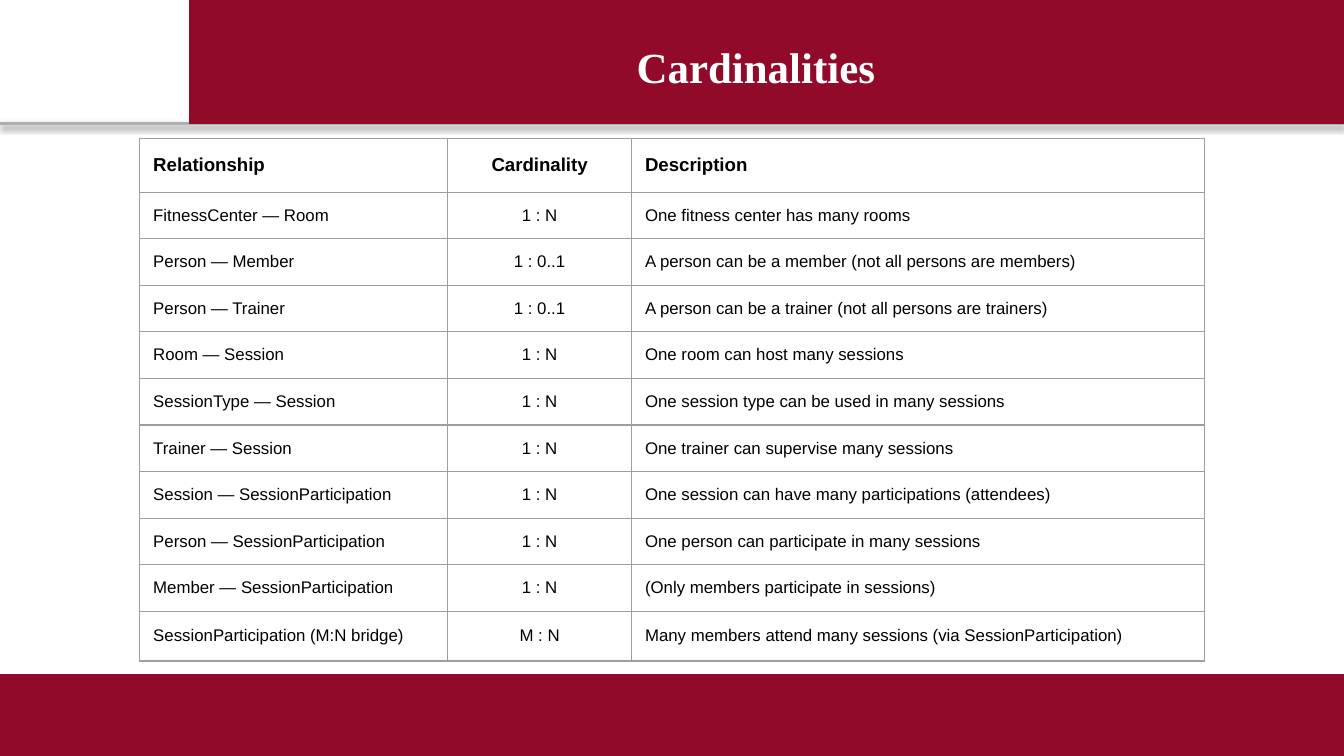
"""Build the Cardinalities slide: a header band, a relationship table and a footer band."""
from lxml import etree
from pptx import Presentation
from pptx import util as u
from pptx.dml.color import RGBColor
from pptx.enum import shapes, text
from pptx.oxml import parse_xml
from pptx.oxml.ns import nsdecls, qn

COLORS = {"crimson": "910A29", "white": "FFFFFF", "black": "000000",
          "rule": "ADAEAE", "border": "9E9E9E"}
ROWS = [
    ("Relationship", "Cardinality", "Description"),
    ("FitnessCenter — Room", "1 : N", "One fitness center has many rooms"),
    ("Person — Member", "1 : 0..1", "A person can be a member (not all persons are members)"),
    ("Person — Trainer", "1 : 0..1", "A person can be a trainer (not all persons are trainers)"),
    ("Room — Session", "1 : N", "One room can host many sessions"),
    ("SessionType — Session", "1 : N", "One session type can be used in many sessions"),
    ("Trainer — Session", "1 : N", "One trainer can supervise many sessions"),
    ("Session — SessionParticipation", "1 : N",
     "One session can have many participations (attendees)"),
    ("Person — SessionParticipation", "1 : N", "One person can participate in many sessions"),
    ("Member — SessionParticipation", "1 : N", "(Only members participate in sessions)"),
    ("SessionParticipation (M:N bridge)", "M : N",
     "Many members attend many sessions (via SessionParticipation)"),
]
COLUMN_WIDTHS = [2.29, 1.37, 4.26]
ROW_HEIGHTS = [0.4] + [3.12 / 9] * 9 + [0.37]


def color(name):
    return RGBColor.from_string(COLORS[name])


def add_band(page, left, top, width, height, fill):
    band = page.shapes.add_shape(shapes.MSO_SHAPE.RECTANGLE, u.Inches(left), u.Inches(top),
                                 u.Inches(width), u.Inches(height))
    band.shadow.inherit = False
    band.fill.solid()
    band.fill.fore_color.rgb = color(fill)
    band.line.color.rgb = color(fill)
    band.line.width = u.Pt(0.75)
    return band


deck = Presentation()
deck.slide_width = u.Inches(10)
deck.slide_height = deck.slide_width * 9 // 16
page = deck.slides.add_slide(deck.slide_layouts[5])

rule = page.shapes.add_connector(shapes.MSO_CONNECTOR.STRAIGHT, 0, u.Inches(0.92),
                                 u.Inches(10), u.Inches(0.92))
rule.line.color.rgb = color("rule")
rule.line.width = u.Pt(2)
rule._element.spPr.append(parse_xml(
    f'<a:effectLst {nsdecls("a")}><a:outerShdw blurRad="39370" dist="20320" dir="5400000">'
    f'<a:srgbClr val="{COLORS["black"]}"><a:alpha val="37000"/></a:srgbClr>'
    '</a:outerShdw></a:effectLst>'))

header = add_band(page, 1.41, 0, 8.59, 0.92, "crimson")
add_band(page, 0, 0, 1.34, 0.87, "white")
add_band(page, 0, 5.02, 10, 0.61, "crimson")

title = page.shapes.title
header._element.addnext(title._element)
title.left, title.top = u.Inches(1.34), u.Inches(0.03)
title.width, title.height = u.Inches(8.57), u.Inches(0.87)
frame = title.text_frame
frame.text = "Cardinalities"
frame.vertical_anchor = text.MSO_ANCHOR.MIDDLE
frame.margin_left = frame.margin_right = u.Inches(0.02)
frame.margin_top = frame.margin_bottom = u.Inches(0.01)
para = frame.paragraphs[0]
para.alignment = text.PP_ALIGN.CENTER
para.line_spacing = 1.15
para.font.name, para.font.size, para.font.bold = "Times New Roman", u.Pt(23), True
para.font.color.rgb = color("white")

table = page.shapes.add_table(len(ROWS), len(COLUMN_WIDTHS), u.Inches(1.04), u.Inches(1.03),
                              u.Inches(sum(COLUMN_WIDTHS)), u.Inches(sum(ROW_HEIGHTS))).table
table.first_row = table.horz_banding = False
for column, width in zip(table.columns, COLUMN_WIDTHS):
    column.width = u.Inches(width)
for row, height in zip(table.rows, ROW_HEIGHTS):
    row.height = u.Inches(height)

for row_index, values in enumerate(ROWS):
    for column_index, value in enumerate(values):
        cell = table.cell(row_index, column_index)
        cell.text = value
        cell.vertical_anchor = text.MSO_ANCHOR.MIDDLE
        cell.margin_left = cell.margin_right = u.Inches(0.1)
        cell.margin_top = cell.margin_bottom = u.Inches(0.1)
        para = cell.text_frame.paragraphs[0]
        para.alignment = text.PP_ALIGN.CENTER if column_index == 1 else text.PP_ALIGN.LEFT
        para.font.name = "Arial"
        para.font.size = u.Pt(10 if row_index == 0 else 9)
        para.font.bold = row_index == 0
        para.font.color.rgb = color("black")
        properties = cell._tc.get_or_add_tcPr()
        for side in ("a:lnL", "a:lnR", "a:lnT", "a:lnB"):
            border = etree.SubElement(properties, qn(side), w=str(u.Pt(0.75)))
            fill = etree.SubElement(border, qn("a:solidFill"))
            etree.SubElement(fill, qn("a:srgbClr"), val=COLORS["border"])
        cell.fill.background()

deck.save("out.pptx")
